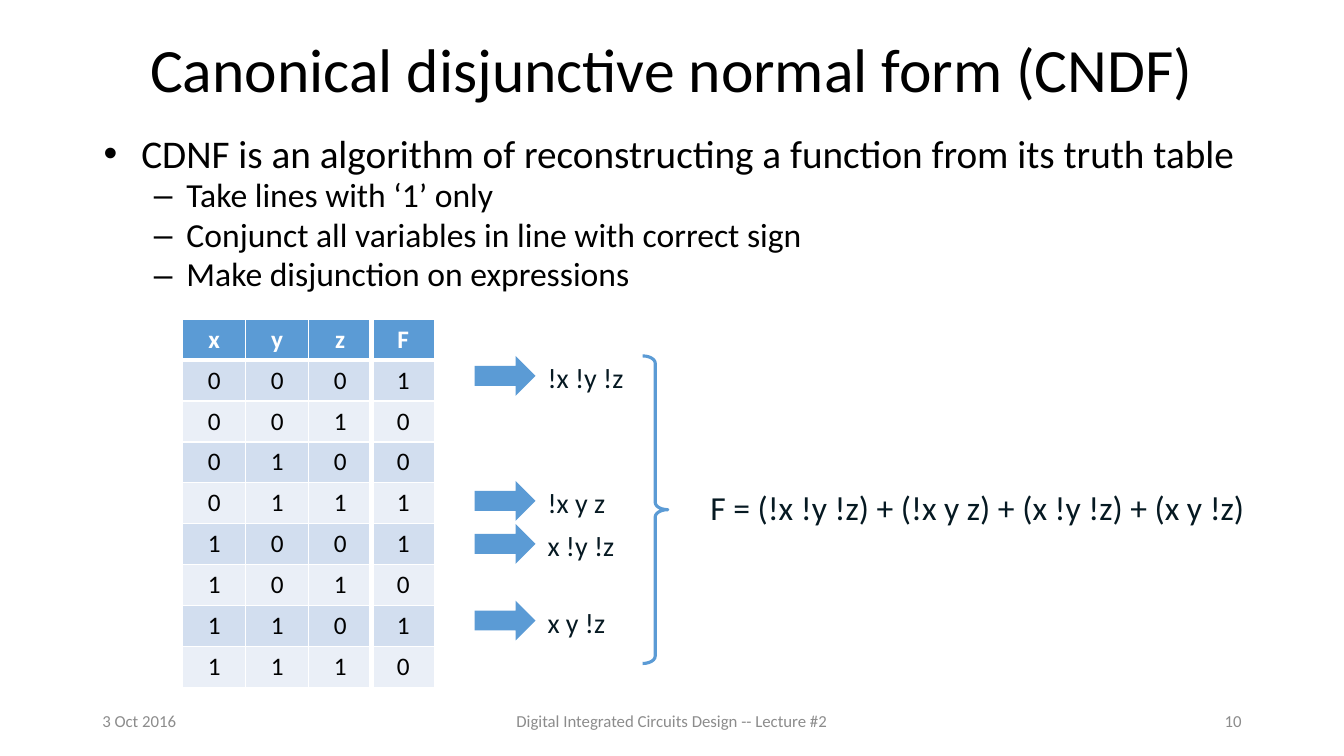
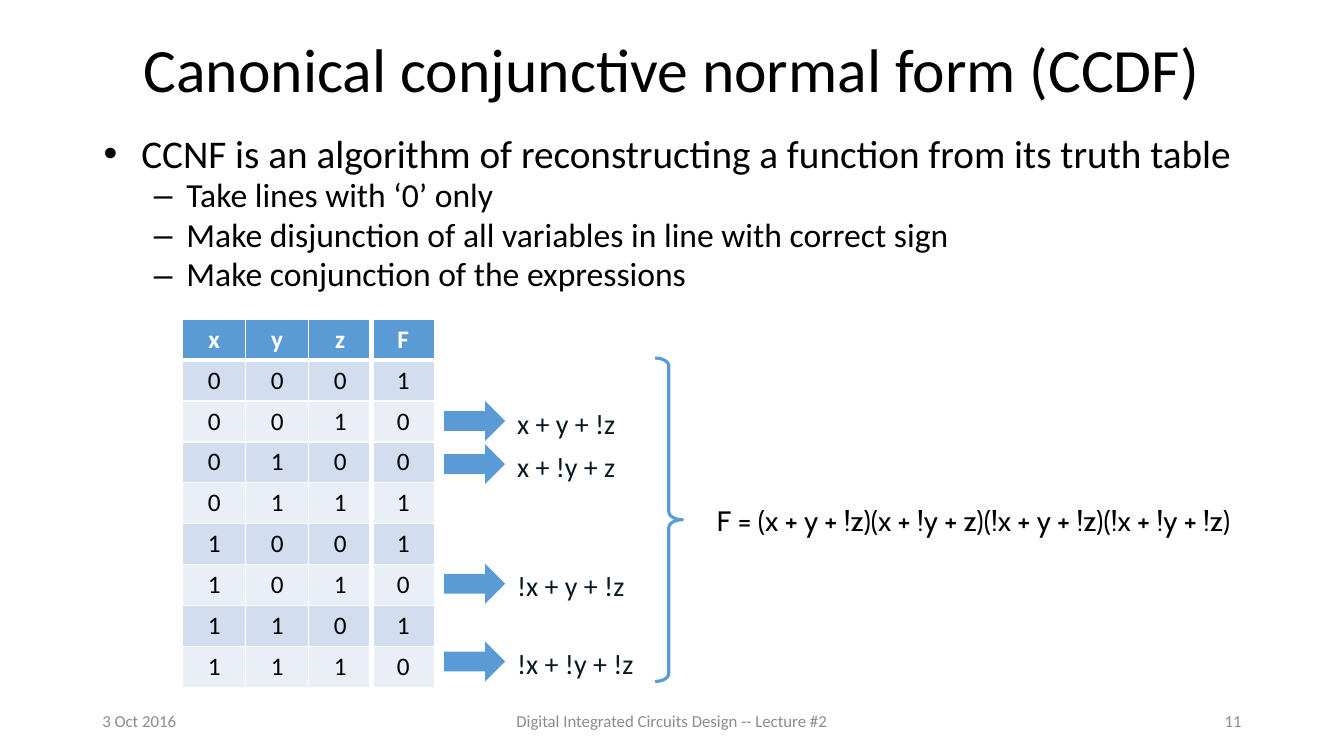
from dataclasses import dataclass
from typing import NamedTuple

from lxml.etree import SubElement
from pptx import Presentation
from pptx.dml.color import RGBColor
from pptx.enum.shapes import MSO_SHAPE
from pptx.enum.text import MSO_ANCHOR, MSO_AUTO_SIZE, PP_ALIGN
from pptx.oxml.ns import qn
from pptx.util import Pt

EMU_PER_PX = 9525


@dataclass(frozen=True)
class Theme:
    """Colours, fonts and type sizes shared by the slides."""
    black: str = "000000"
    white: str = "FFFFFF"
    ink: str = "061922"
    gray: str = "8C8C8C"
    accent: str = "5B9BD5"
    bands: tuple = ("D2DEEF", "EAEFF7")
    font: str = "Calibri"
    title: int = 44
    body: int = 28
    sub: int = 24
    term: int = 20
    cell: int = 18
    footer: int = 12


THEME = Theme()


class Box(NamedTuple):
    left: int
    top: int
    width: int
    height: int

    def inner(self, left, top, width, height):
        return Box(self.left + left, self.top + top, width, height)

    def emu(self):
        return [px(length) for length in self]


def px(length):
    return length * EMU_PER_PX


def color(value):
    return RGBColor.from_string(value)


def set_attributes(target, values):
    for name, value in values.items():
        setattr(target, name, value)


# Text
def write(paragraph, text, size, ink=THEME.black, name=THEME.font, bold=False, **layout):
    set_attributes(paragraph, layout)
    run = paragraph.add_run()
    run.text = text
    set_attributes(run.font, {"size": Pt(size), "name": name, "bold": bold})
    run.font.color.rgb = color(ink)


def place(shape, box):
    set_attributes(shape, dict(zip(("left", "top", "width", "height"), box.emu())))


def add_text(slide, box, text, size, ink, anchor=MSO_ANCHOR.TOP, **style):
    frame = slide.shapes.add_textbox(*box.emu()).text_frame
    set_attributes(frame, {"word_wrap": True, "vertical_anchor": anchor})
    write(frame.paragraphs[0], text, size, ink, **style)


def set_bullet(paragraph, character, margin, hanging):
    properties = paragraph._p.get_or_add_pPr()
    properties.set("marL", str(px(margin)))
    properties.set("indent", str(px(-hanging)))
    SubElement(properties, qn("a:buFont")).set("typeface", "Arial")
    SubElement(properties, qn("a:buChar")).set("char", character)


# Placeholders
def fill_title(slide, box, text):
    title = slide.shapes.title
    place(title, box)
    frame = title.text_frame
    set_attributes(frame, {"auto_size": MSO_AUTO_SIZE.NONE, "vertical_anchor": MSO_ANCHOR.MIDDLE})
    write(frame.paragraphs[0], text, THEME.title, alignment=PP_ALIGN.CENTER, line_spacing=0.9)


def fill_body(slide, box, lead, steps):
    body = slide.placeholders[1]
    place(body, box)
    frame = body.text_frame
    frame.auto_size = MSO_AUTO_SIZE.NONE
    paragraph = frame.paragraphs[0]
    set_bullet(paragraph, "•", 36, 36)
    write(paragraph, lead, THEME.body, space_before=Pt(0))
    for step in steps:
        paragraph = frame.add_paragraph()
        set_bullet(paragraph, "‒", 79, 31)
        write(paragraph, step, THEME.sub, level=1, space_before=Pt(0), line_spacing=0.98)


# Footer
def add_footer(slide, box, number):
    parts = (
        (0, 288, "3 Oct 2016", PP_ALIGN.LEFT),
        (336, 432, "Digital Integrated Circuits Design -- Lecture #2", PP_ALIGN.CENTER),
        (816, 288, str(number), PP_ALIGN.RIGHT),
    )
    for left, width, text, alignment in parts:
        add_text(slide, box.inner(left, 0, width, box.height), text, THEME.footer,
                 THEME.gray, MSO_ANCHOR.MIDDLE, alignment=alignment)


# Truth table
def set_borders(cell, widths):
    properties = cell._tc.get_or_add_tcPr()
    for position, (side, width) in enumerate(widths.items()):
        line = SubElement(properties, qn(f"a:ln{side}"))
        line.set("w", str(Pt(width)))
        fill = SubElement(line, qn("a:solidFill"))
        SubElement(fill, qn("a:srgbClr")).set("val", THEME.white)
        properties.insert(position, line)


def add_truth_table(slide, box, outputs):
    inputs = [f"{index:03b}" for index in range(len(outputs))]
    rows = ["xyzF"] + [bits + output for bits, output in zip(inputs, outputs)]
    table = slide.shapes.add_table(len(rows), 4, *box.emu()).table
    set_attributes(table, {"first_row": False, "horz_banding": False})
    for column in table.columns:
        column.width = px(box.width // 4)
    for row_index, values in enumerate(rows):
        table.rows[row_index].height = px(box.height // len(rows))
        header = row_index == 0
        for column_index, value in enumerate(values):
            cell = table.cell(row_index, column_index)
            cell.fill.solid()
            fill = THEME.accent if header else THEME.bands[(row_index - 1) % 2]
            cell.fill.fore_color.rgb = color(fill)
            set_borders(cell, {
                "L": 4.5 if column_index == 3 else 1,
                "R": 4.5 if column_index == 2 else 1,
                "T": 3 if row_index == 1 else 1,
                "B": 3 if header else 1,
            })
            write(cell.text_frame.paragraphs[0], value, THEME.cell,
                  THEME.white if header else THEME.black, bold=header,
                  alignment=PP_ALIGN.CENTER)


# Terms, brace and resulting formula
def add_terms(slide, box, terms):
    for text, top in terms:
        arrow = slide.shapes.add_shape(MSO_SHAPE.RIGHT_ARROW, *box.inner(0, top, 58, 38).emu())
        arrow.shadow.inherit = False
        arrow.fill.solid()
        arrow.fill.fore_color.rgb = color(THEME.accent)
        arrow.line.fill.background()
        add_text(slide, box.inner(60, top, 167, 42), text, THEME.term, THEME.ink)


def add_brace(slide, box):
    brace = slide.shapes.add_shape(MSO_SHAPE.RIGHT_BRACE, *box.emu())
    brace.shadow.inherit = False
    brace.adjustments[0] = 0.29
    brace.fill.background()
    brace.line.color.rgb = color(THEME.accent)
    brace.line.width = Pt(2.25)


def build_slide(presentation, content):
    slide = presentation.slides.add_slide(presentation.slide_layouts[1])
    fill_title(slide, Box(88, 0, 1104, 139), content["title"])
    fill_body(slide, Box(89, 118, 1104, 180), content["lead"], content["steps"])
    add_footer(slide, Box(88, 667, 1104, 38), content["number"])
    add_truth_table(slide, Box(174, 304, 240, 351), "10011010")
    add_terms(slide, content["terms_box"], content["terms"])
    add_text(slide, content["formula_box"], content["formula"], **content["formula_style"])
    add_brace(slide, content["brace_box"])


SLIDES = (
    {
        "number": 10,
        "title": "Canonical disjunctive normal form (CNDF)",
        "lead": "CDNF is an algorithm of reconstructing a function from its truth table",
        "steps": (
            "Take lines with ‘1’ only",
            "Conjunct all variables in line with correct sign",
            "Make disjunction on expressions",
        ),
        "terms_box": Box(452, 339, 227, 275),
        "terms": (("!x !y !z", 0), ("!x y z", 119), ("x !y !z", 160), ("x y !z", 233)),
        "formula": "F = (!x !y !z) + (!x y z) + (x !y !z) + (x y !z)",
        "formula_box": Box(667, 459, 564, 48),
        "formula_style": {"size": THEME.sub, "ink": THEME.ink},
        "brace_box": Box(612, 339, 24, 293),
    },
    {
        "number": 11,
        "title": "Canonical conjunctive normal form (CCDF)",
        "lead": "CCNF is an algorithm of reconstructing a function from its truth table",
        "steps": (
            "Take lines with ‘0’ only",
            "Make disjunction of all variables in line with correct sign",
            "Make conjunction of the expressions",
        ),
        "terms_box": Box(423, 382, 227, 271),
        "terms": (("x + y + !z", 0), ("x + !y + z", 41), ("!x + y + !z", 155),
                  ("!x + !y + !z", 229)),
        "formula": "F = (x + y + !z)(x + !y + z)(!x + y + !z)(!x + !y + !z)",
        "formula_box": Box(673, 475, 564, 42),
        "formula_style": {"size": THEME.term, "ink": THEME.black, "name": "Cabin"},
        "brace_box": Box(624, 341, 26, 308),
    },
)


def main():
    presentation = Presentation()
    set_attributes(presentation, {"slide_width": px(1280), "slide_height": px(720)})
    for content in SLIDES:
        build_slide(presentation, content)
    presentation.save("out.pptx")


if __name__ == "__main__":
    main()
